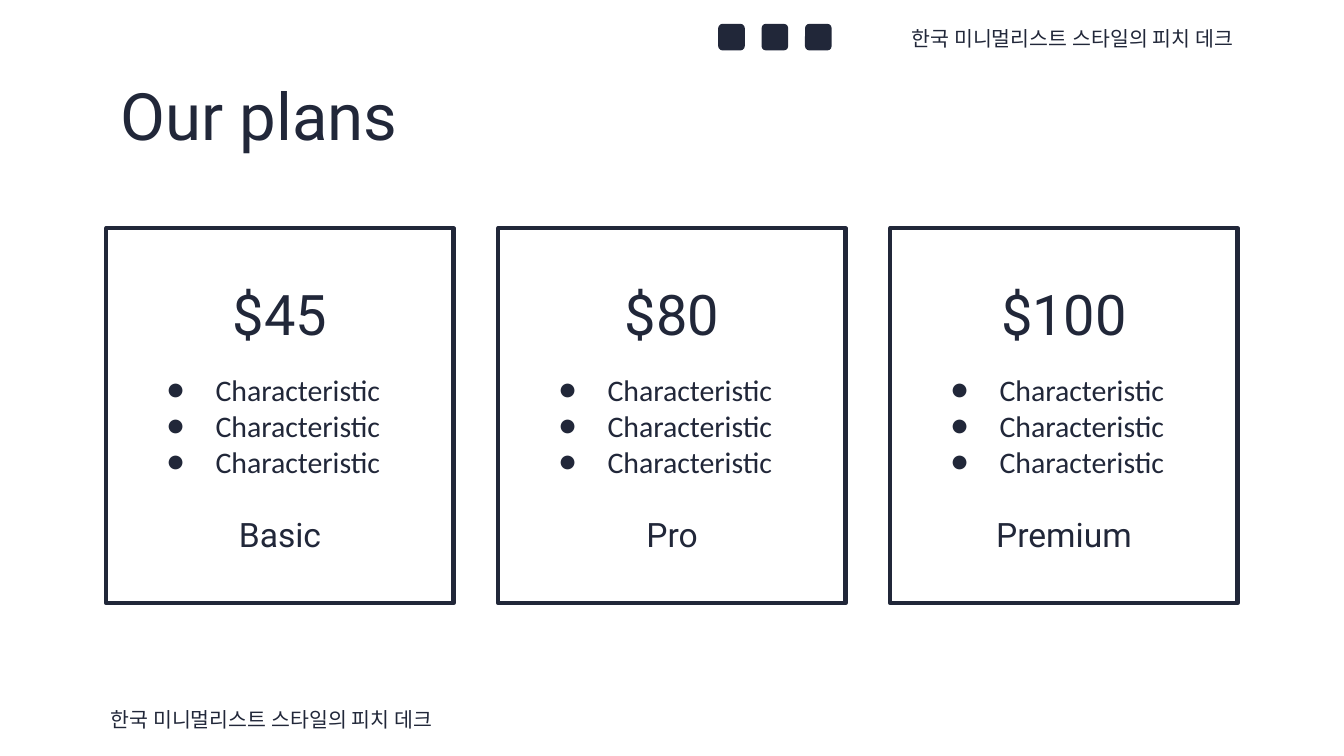
from lxml.etree import SubElement
from pptx import Presentation
from pptx.dml.color import RGBColor
from pptx.enum.shapes import MSO_SHAPE
from pptx.enum.text import MSO_ANCHOR, MSO_AUTO_SIZE, PP_ALIGN
from pptx.oxml.ns import qn
from pptx.util import Pt

PX = 9525  # 96 px to the inch
INK = "212739"
TAGLINE = "한국 미니멀리스트 스타일의 피치 데크"
PLANS = [("$45", "Basic"), ("$80", "Pro"), ("$100", "Premium")]
FEATURES = ["Characteristic"] * 3


def px(*values):
    return [v * PX for v in values]


def rgb(value):
    return RGBColor.from_string(value)


def add_bullet(p):
    pPr = p._p.get_or_add_pPr()
    pPr.set("marL", str(48 * PX))
    pPr.set("indent", str(-35 * PX))
    color = SubElement(pPr, qn("a:buClr"))
    SubElement(color, qn("a:srgbClr"), val=INK)
    SubElement(pPr, qn("a:buFont"), typeface="Calibri")
    SubElement(pPr, qn("a:buChar"), char="●")


def write(tf, lines, font, size, align=PP_ALIGN.LEFT, anchor=MSO_ANCHOR.MIDDLE,
          insets=(10, 10, 10, 10), bullets=False):
    tf.word_wrap = True
    tf.auto_size = MSO_AUTO_SIZE.NONE
    tf.vertical_anchor = anchor
    tf.margin_left, tf.margin_top, tf.margin_right, tf.margin_bottom = px(*insets)
    for i, line in enumerate(lines):
        p = tf.paragraphs[0] if i == 0 else tf.add_paragraph()
        p.alignment = align
        if bullets:
            add_bullet(p)
        r = p.add_run()
        r.text = line
        r.font.name = font
        r.font.size = Pt(size)
        r.font.color.rgb = rgb(INK)


def add_text(s, box, lines, font, size, **style):
    write(s.shapes.add_textbox(*px(*box)).text_frame, lines, font, size, **style)


def add_title(s, box, text):
    sp = s.shapes.title
    sp.left, sp.top, sp.width, sp.height = px(*box)
    write(sp.text_frame, [text], "Roboto", 35)


def add_social_marks(s, x, y, size, pitch, count):
    for i in range(count):
        sp = s.shapes.add_shape(MSO_SHAPE.ROUNDED_RECTANGLE,
                                *px(x + i * pitch, y, size, size))
        sp.shadow.inherit = False
        sp.fill.solid()
        sp.fill.fore_color.rgb = rgb(INK)
        sp.line.fill.background()


def add_plan(s, box, price, name):
    x, y, w, h = box
    sp = s.shapes.add_shape(MSO_SHAPE.RECTANGLE, *px(*box))
    sp.shadow.inherit = False
    sp.fill.background()
    sp.line.color.rgb = rgb(INK)
    sp.line.width = Pt(2.25)

    label = dict(align=PP_ALIGN.CENTER, anchor=MSO_ANCHOR.TOP, insets=(0, 7, 0, 0))
    label_w = w // 2
    label_x = x + (w - label_w) // 2
    add_text(s, (label_x, y + 197, label_w, 30), [name], "Roboto", 18, **label)
    add_text(s, (x + 30, y + 75, w - 60, 131), FEATURES, "Calibri", 16,
             insets=(0, 1, 0, 0), bullets=True)
    add_text(s, (label_x, y + 30, label_w, 57), [price], "Roboto", 30, **label)


def main():
    prs = Presentation()
    prs.slide_width, prs.slide_height = px(960, 540)
    s = prs.slides.add_slide(prs.slide_layouts[5])

    add_title(s, (76, 57, 809, 50), "Our plans")
    for i, (price, name) in enumerate(PLANS):
        add_plan(s, (76 + i * 280, 163, 248, 268), price, name)
    add_social_marks(s, 513, 17, 19, 31, 3)
    add_text(s, (610, 12, 281, 31), [TAGLINE], "League Spartan", 11,
             align=PP_ALIGN.RIGHT)
    add_text(s, (69, 498, 281, 31), [TAGLINE], "League Spartan", 11)
    prs.save("out.pptx")


if __name__ == "__main__":
    main()
